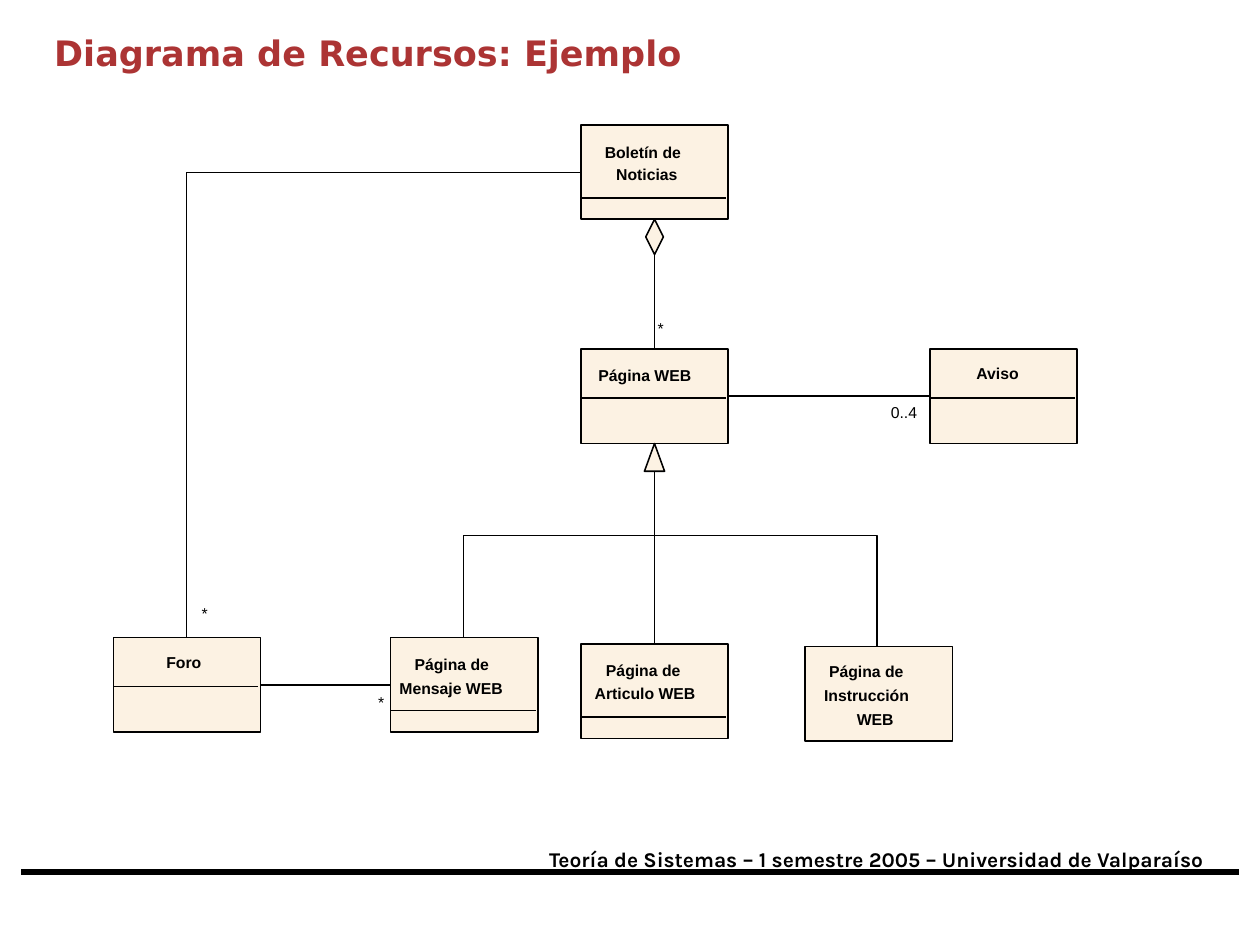
from dataclasses import dataclass

from lxml.etree import SubElement
from pptx import Presentation
from pptx.dml.color import RGBColor
from pptx.enum.shapes import MSO_CONNECTOR, MSO_SHAPE
from pptx.enum.text import MSO_ANCHOR, MSO_AUTO_SIZE, PP_ALIGN
from pptx.oxml.ns import qn
from pptx.util import Inches, Pt

BLACK = RGBColor(0x00, 0x00, 0x00)
CREAM = RGBColor(0xFC, 0xF2, 0xE3)
RED = RGBColor(0xAC, 0x34, 0x34)

BOX_W, BOX_H = 1.17, 0.75
DIVIDER_W = 1.15
LABEL_H = 0.15
THIN = 0.88
TOP, LEFT, BOTTOM, RIGHT = range(4)

# Shared column and rows, so that joined boxes line up
MAIN_X = 4.61
AXIS_X = MAIN_X + BOX_W / 2
PAGE_Y = 2.77
FORUM_Y = 5.06

Point = tuple[float, float]


@dataclass
class Label:
    text: str
    x: float
    y: float
    width: float


@dataclass
class ClassBox:
    x: float
    y: float
    lines: list[Label]
    divider: float | None = None  # distance below the top edge


prs = Presentation()
prs.slide_width, prs.slide_height = Inches(10), Inches(7.5)
slide = prs.slides.add_slide(prs.slide_layouts[5])
shapes = slide.shapes


def add_text(label: Label, height: float = LABEL_H, font: str = "Arial",
             size: float = 9, bold: bool = False, inset: Point = (0, 0)) -> None:
    frame = shapes.add_textbox(Inches(label.x), Inches(label.y),
                               Inches(label.width), Inches(height)).text_frame
    frame.word_wrap = False
    frame.auto_size = MSO_AUTO_SIZE.SHAPE_TO_FIT_TEXT
    frame.margin_left = frame.margin_right = Inches(inset[0])
    frame.margin_top = frame.margin_bottom = Inches(inset[1])
    paragraph = frame.paragraphs[0]
    paragraph.text = label.text
    paragraph.font.name, paragraph.font.size = font, Pt(size)
    paragraph.font.bold = bold
    paragraph.font.color.rgb = BLACK


def add_line(start: Point, end: Point, width: float = THIN):
    line = shapes.add_connector(MSO_CONNECTOR.STRAIGHT,
                                *(Inches(v) for v in start + end))
    line.line.color.rgb = BLACK
    line.line.width = Pt(width)
    SubElement(line._element.spPr, qn("a:effectLst"))
    return line


def join(start, start_side: int, end, end_side: int) -> None:
    line = add_line((0, 0), (1, 1))
    line.begin_connect(start, start_side)
    line.end_connect(end, end_side)


def style(shape, filled: bool) -> None:
    shape.shadow.inherit = False
    shape.line.color.rgb = BLACK
    shape.line.width = Pt(THIN)
    if filled:
        shape.fill.solid()
        shape.fill.fore_color.rgb = CREAM
    else:
        shape.fill.background()


def add_outline(points: list[Point], closed: bool = False) -> None:
    first, *rest = [(Inches(x), Inches(y)) for x, y in points]
    builder = shapes.build_freeform(*first)
    builder.add_line_segments(rest, close=closed)
    style(builder.convert_to_shape(), filled=closed)


def add_class(box: ClassBox):
    rect = shapes.add_shape(MSO_SHAPE.RECTANGLE, Inches(box.x), Inches(box.y),
                            Inches(BOX_W), Inches(BOX_H))
    style(rect, filled=True)
    for line in box.lines:
        add_text(line, bold=True)
    if box.divider is not None:
        y = box.y + box.divider
        add_line((box.x, y), (box.x + DIVIDER_W, y))
    return rect


# Footer
add_line((0.17, 6.92), (9.83, 6.92), 3)
add_text(Label("Teoría de Sistemas – 1 semestre 2005 – Universidad de Valparaíso",
               4.26, 6.67, 5.6),
         height=0.3, font="Karla", size=12, bold=True, inset=(0.1, 0.05))

# Title
title = shapes.title
title.left, title.top = Inches(0.33), Inches(0.08)
title.width, title.height = Inches(6.75), Inches(0.67)
title.text_frame.text = "Diagrama de Recursos: Ejemplo"
title.text_frame.vertical_anchor = MSO_ANCHOR.MIDDLE
heading = title.text_frame.paragraphs[0]
heading.alignment = PP_ALIGN.LEFT
heading.font.name, heading.font.size, heading.font.bold = "DejaVu Sans", Pt(20), True
heading.font.color.rgb = RED

# Classes
boletin = add_class(ClassBox(MAIN_X, 0.99, [Label("Boletín de", 4.8, 1.13, 0.64),
                                            Label("Noticias", 4.89, 1.31, 0.49)], 0.58))
pagina = add_class(ClassBox(MAIN_X, PAGE_Y, [Label("Página WEB", 4.75, 2.9, 0.74)], 0.39))
foro = add_class(ClassBox(0.9, FORUM_Y, [Label("Foro", 1.32, 5.18, 0.28)], 0.39))
mensaje = add_class(ClassBox(3.1, FORUM_Y, [Label("Página de", 3.29, 5.2, 0.63),
                                            Label("Mensaje WEB", 3.17, 5.39, 0.82)], 0.58))
articulo = add_class(ClassBox(MAIN_X, 5.11, [Label("Página de", 4.81, 5.24, 0.63),
                                             Label("Articulo WEB", 4.72, 5.43, 0.8)], 0.58))
instruccion = add_class(ClassBox(6.39, 5.13, [Label("Página de", 6.58, 5.25, 0.63),
                                              Label("Instrucción", 6.54, 5.44, 0.71),
                                              Label("WEB", 6.8, 5.63, 0.32)]))
aviso = add_class(ClassBox(7.38, PAGE_Y, [Label("Aviso", 7.75, 2.89, 0.34)], 0.39))

# Aggregation: Boletín de Noticias holds Página WEB
join(pagina, TOP, boletin, BOTTOM)
add_outline([(AXIS_X + 0.07, 1.88), (AXIS_X, 1.74),
             (AXIS_X - 0.07, 1.88), (AXIS_X, 2.02)], closed=True)

# Inheritance: the three kinds of Página WEB
PARENT_Y, BRANCH_Y = PAGE_Y + BOX_H, 4.25
for child_x, child_y in [(3.68, FORUM_Y), (6.96, 5.13)]:
    add_outline([(child_x, child_y), (child_x, BRANCH_Y),
                 (AXIS_X, BRANCH_Y), (AXIS_X, PARENT_Y)])
join(articulo, TOP, pagina, BOTTOM)
add_outline([(AXIS_X + 0.08, 3.74), (AXIS_X - 0.08, 3.74), (AXIS_X, PARENT_Y)],
            closed=True)

# Associations
join(foro, RIGHT, mensaje, LEFT)
join(pagina, RIGHT, aviso, LEFT)
add_outline([(MAIN_X, 1.37), (1.48, 1.37), (1.48, FORUM_Y)])

# Multiplicities
for multiplicity in [Label("*", 5.22, 2.53, 0.05), Label("*", 3, 5.5, 0.05),
                     Label("*", 1.6, 4.79, 0.05), Label("0..4", 7.07, 3.2, 0.21)]:
    add_text(multiplicity)

prs.save("out.pptx")
